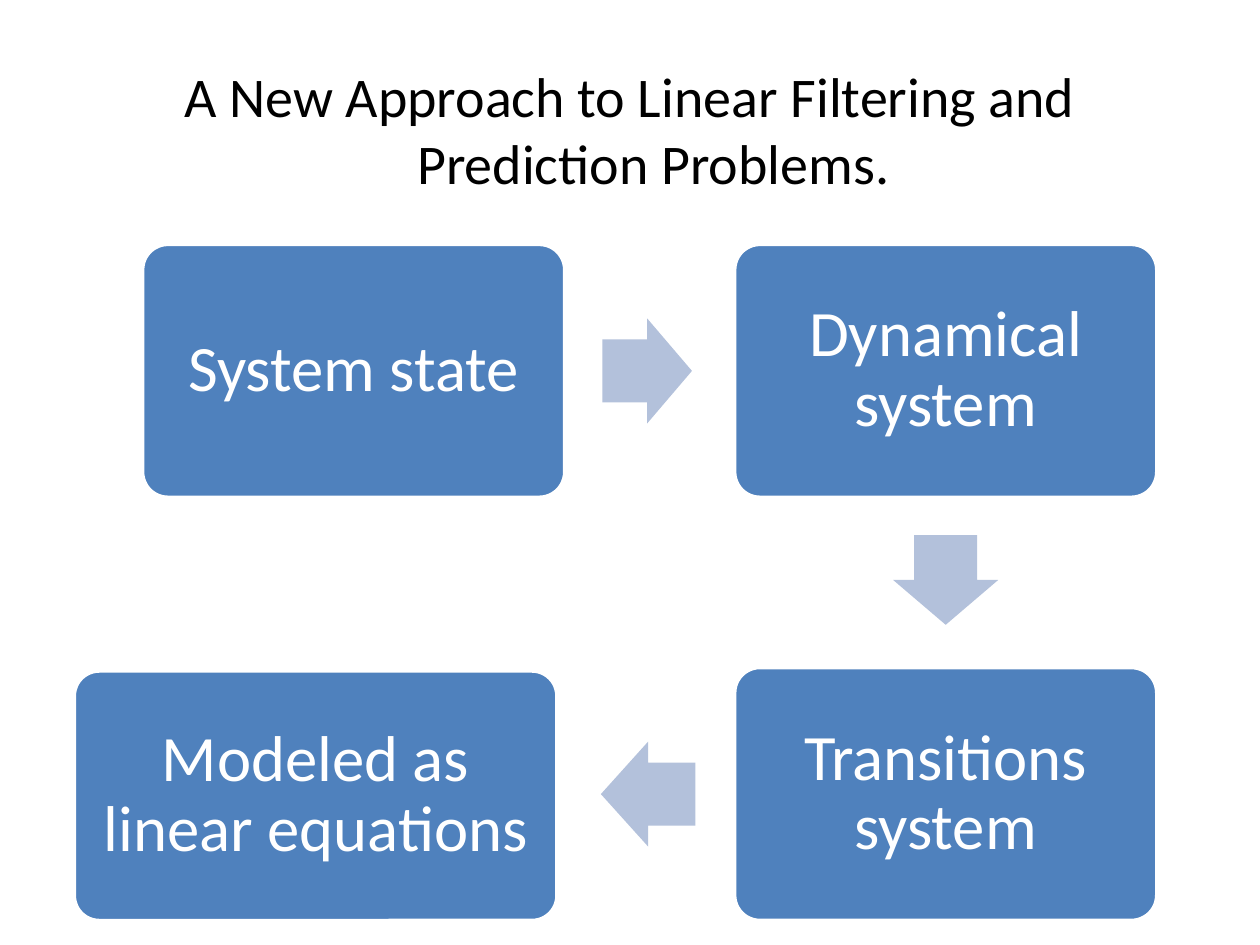
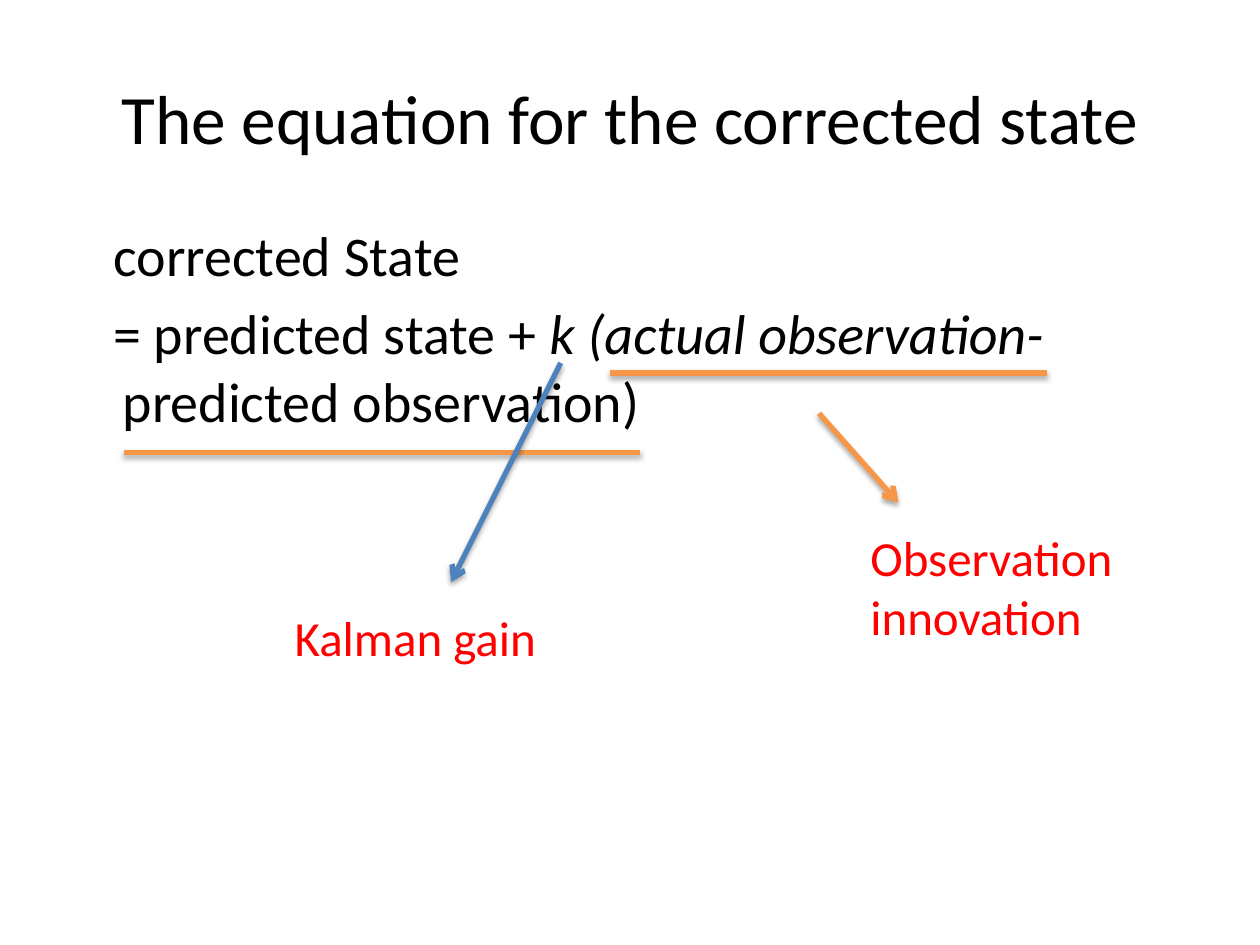
from lxml import etree
from pptx import Presentation
from pptx.dml.color import RGBColor
from pptx.enum.shapes import MSO_CONNECTOR, MSO_SHAPE
from pptx.enum.text import MSO_ANCHOR, PP_ALIGN
from pptx.oxml import parse_xml
from pptx.oxml.ns import nsdecls, qn
from pptx.util import Pt

ROUND_RECT = MSO_SHAPE.ROUNDED_RECTANGLE
RIGHT_ARROW = MSO_SHAPE.RIGHT_ARROW
STRAIGHT = MSO_CONNECTOR.STRAIGHT
TOP, MIDDLE = MSO_ANCHOR.TOP, MSO_ANCHOR.MIDDLE
LEFT, CENTER = PP_ALIGN.LEFT, PP_ALIGN.CENTER

COLORS = {"text": "000000", "white": "FFFFFF", "box": "4F81BD",
          "arrow": "B3C1DB", "orange": "F79646", "label": "FF0000"}
FONT = "Calibri"
BODY_SIZE = 32
HANGING = 27


def rgb(name):
    return RGBColor.from_string(COLORS[name])


def style_runs(p, size, color):
    for r in p.runs:
        r.font.name, r.font.size = FONT, Pt(size)
        r.font.color.rgb = rgb(color)


def set_indent(p, margin, first_line):
    pPr = p._p.get_or_add_pPr()
    pPr.set("marL", str(Pt(margin)))
    pPr.set("indent", str(Pt(first_line)))


def add_text(slide, box, paragraphs, size, color="text", align=LEFT,
             anchor=TOP, first_line=None):
    """Each paragraph is a list of (text, italic) runs."""
    tf = slide.shapes.add_textbox(*map(Pt, box)).text_frame
    tf.word_wrap, tf.vertical_anchor = True, anchor
    for i, runs in enumerate(paragraphs):
        p = tf.add_paragraph() if i else tf.paragraphs[0]
        p.alignment = align
        if first_line is not None:
            set_indent(p, HANGING, first_line)
        if i:
            p.space_before = Pt(0.2 * size)
        for text, italic in runs:
            r = p.add_run()
            r.text, r.font.italic = text, italic
        style_runs(p, size, color)


def add_step(slide, box, text):
    sp = slide.shapes.add_shape(ROUND_RECT, *map(Pt, box))
    sp.shadow.inherit = False
    sp.adjustments[0] = 0.1
    sp.fill.solid()
    sp.fill.fore_color.rgb = rgb("box")
    sp.line.color.rgb = rgb("white")
    sp.line.width = Pt(2)
    tf = sp.text_frame
    tf.word_wrap, tf.vertical_anchor = True, MIDDLE
    tf.margin_left = tf.margin_right = Pt(7)
    tf.text = text
    p = tf.paragraphs[0]
    p.alignment, p.line_spacing = CENTER, 0.9
    style_runs(p, 37, "white")


def add_step_arrow(slide, cx, cy, length, rotation):
    breadth = 60
    sp = slide.shapes.add_shape(RIGHT_ARROW, Pt(cx - length / 2),
                                Pt(cy - breadth / 2), Pt(length), Pt(breadth))
    sp.shadow.inherit = False
    sp.adjustments[0], sp.adjustments[1] = 0.6, 0.5
    sp.rotation = rotation
    sp.fill.solid()
    sp.fill.fore_color.rgb = rgb("arrow")
    sp.line.fill.background()


def add_line(slide, start, end, color, arrow=False):
    cxn = slide.shapes.add_connector(STRAIGHT, *map(Pt, start + end))
    cxn.line.color.rgb = rgb(color)
    cxn.line.width = Pt(3)
    if arrow:
        etree.SubElement(cxn.line._get_or_add_ln(), qn("a:tailEnd"), type="arrow")
    # Soft shadow just below the line
    cxn._element.spPr.append(parse_xml(
        f'<a:effectLst {nsdecls("a")}><a:outerShdw blurRad="{Pt(3.1)}" '
        f'dist="{Pt(1.8)}" dir="5400000" rotWithShape="0">'
        '<a:srgbClr val="000000"><a:alpha val="35000"/></a:srgbClr>'
        '</a:outerShdw></a:effectLst>'))


def add_flow(slide, box):
    """Four steps running clockwise from the top left of the box."""
    x, y, w, h = box
    step_w, step_h = 241.2, 144.5
    right, bottom = x + w - step_w, y + h - step_h
    last_w, last_h = 275.8, 142.6
    inner_left = x + 39
    add_step(slide, (inner_left, y, step_w, step_h), "System state")
    add_step(slide, (right, y, step_w, step_h), "Dynamical system")
    add_step(slide, (right, bottom, step_w, step_h), "Transitions system")
    add_step(slide, (x, y + h - last_h, last_w, last_h),
             "Modeled as linear equations")

    # Arrows in the gaps between the steps
    gap_x = (inner_left + step_w + right) / 2 - 1.4
    gap_y = (y + step_h + bottom) / 2 - 1.4
    add_step_arrow(slide, gap_x, y + step_h / 2, 51.2, 0)
    add_step_arrow(slide, right + step_w / 2, gap_y, 51.2, 90)
    add_step_arrow(slide, gap_x + 0.5, bottom + step_h / 2, 54, 180)


def add_equation(slide, box):
    """Equation text with underlined terms and labelled arrows."""
    x, y, w, h = box
    add_text(slide, box, [
        [("corrected State", False)],
        [("= predicted state + ", False), ("k (actual observation-", True),
         ("predicted observation)", False)],
    ], BODY_SIZE, first_line=-5.3)

    # Underlines
    for x1, x2, dy in ((312.5, 562.3, 90.7), (34.6, 329.8, 136.1)):
        add_line(slide, (x + x1, y + dy), (x + x2, y + dy), "orange")

    # Arrows to the labels
    add_line(slide, (x + 432, y + 113.8), (x + 477.4, y + 164.9), "orange", True)
    add_line(slide, (x + 284.4, y + 85), (x + 221.8, y + 210.2), "box", True)

    # Labels
    for text, dx, dy, lw, lh in (
            ("Observation innovation", 454.3, 175.7, 153.4, 74.9),
            ("Kalman gain", 125.3, 221, 181.4, 41)):
        add_text(slide, (x + dx, y + dy, lw, lh), [[(text, False)]], 28, "label")


def main():
    prs = Presentation()
    prs.slide_width, prs.slide_height = Pt(720), Pt(540)
    blank = prs.slide_layouts[6]

    # Slide 1: flow of steps
    slide = prs.slides.add_slide(blank)
    add_text(slide, (36, 31.7, 648, 450.7),
             [[("A New Approach to Linear Filtering and Prediction Problems.", False)]],
             BODY_SIZE, align=CENTER, first_line=-HANGING)
    add_flow(slide, (42.5, 139.7, 618.5, 386.3))

    # Slide 2: equation
    slide = prs.slides.add_slide(blank)
    add_text(slide, (36, 21.6, 648, 90),
             [[("The equation for the corrected state", False)]],
             39.6, align=CENTER, anchor=MIDDLE)
    add_equation(slide, (36, 122.4, 648, 360))

    prs.save("out.pptx")


if __name__ == "__main__":
    main()
